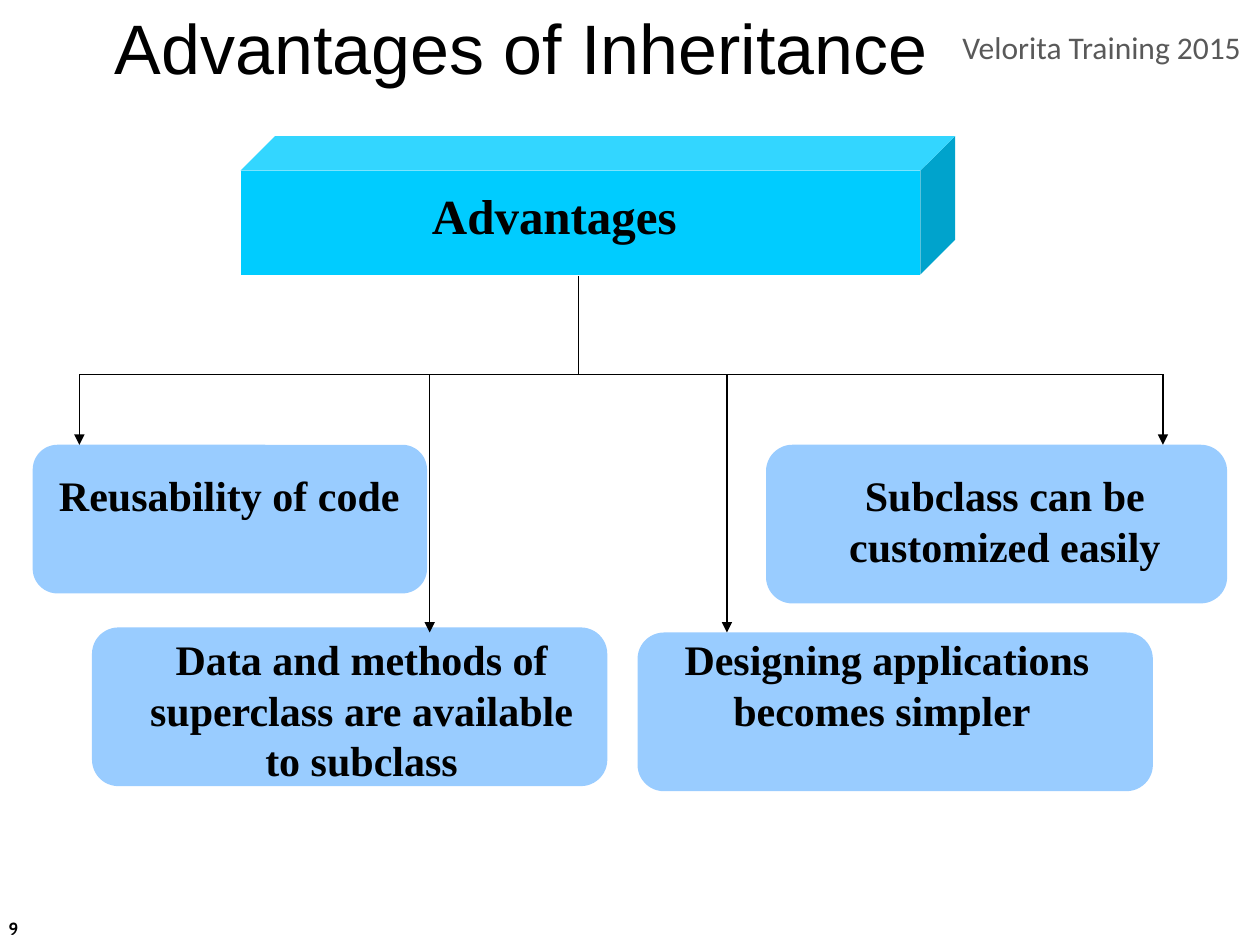
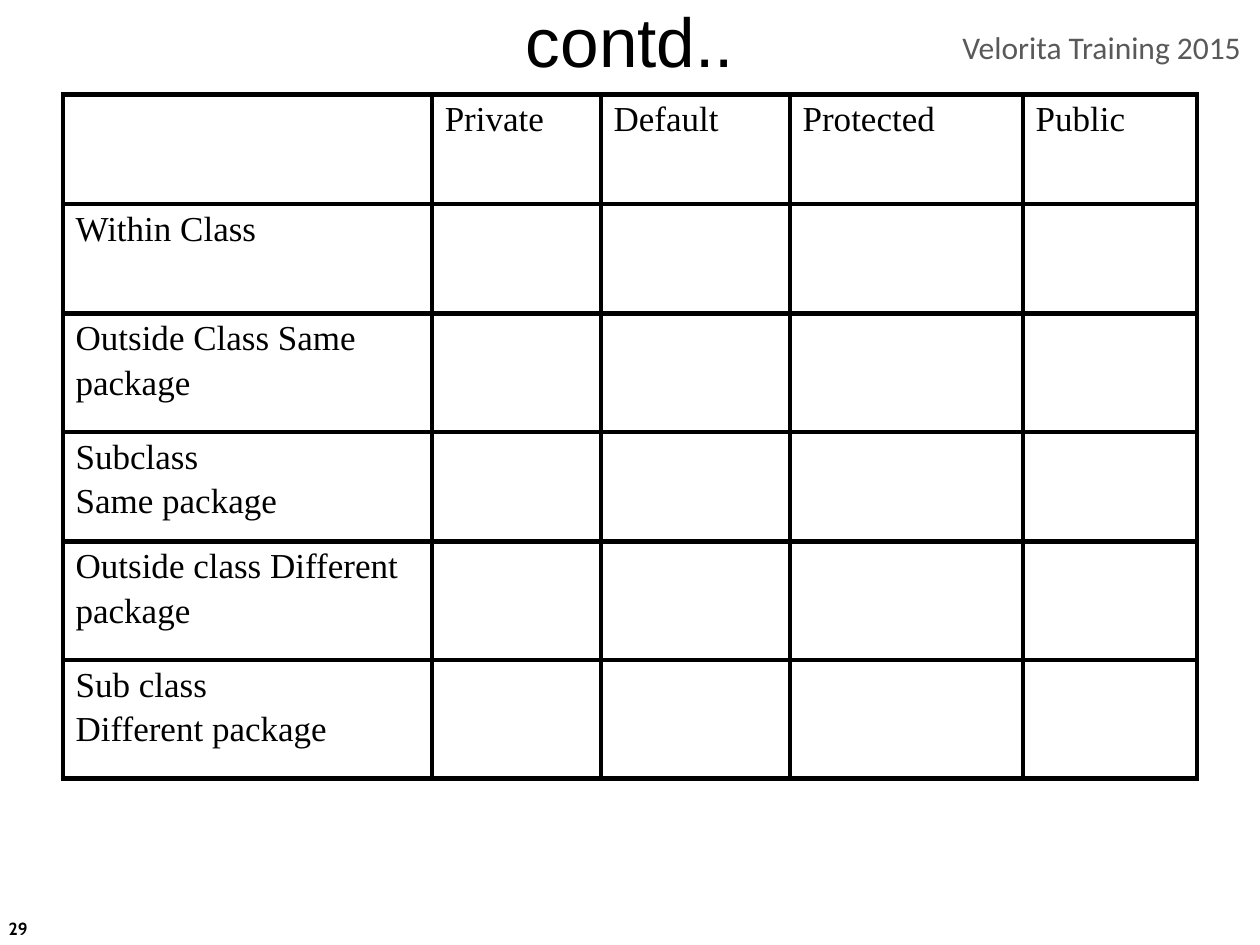
from dataclasses import dataclass
from lxml import etree
from pptx import Presentation
from pptx.dml.color import RGBColor
from pptx.enum.shapes import MSO_CONNECTOR, MSO_SHAPE
from pptx.enum.text import MSO_ANCHOR, MSO_AUTO_SIZE, PP_ALIGN
from pptx.oxml.ns import qn
from pptx.util import Inches, Pt

CUBE, ROUNDED = MSO_SHAPE.CUBE, MSO_SHAPE.ROUNDED_RECTANGLE
STRAIGHT = MSO_CONNECTOR.STRAIGHT
LEFT, CENTER = PP_ALIGN.LEFT, PP_ALIGN.CENTER
TOP, MIDDLE = MSO_ANCHOR.TOP, MSO_ANCHOR.MIDDLE
NO_AUTOSIZE = MSO_AUTO_SIZE.NONE


@dataclass(frozen=True)
class Theme:
    black: str = "000000"
    white: str = "FFFFFF"
    grey: str = "595959"
    banner: str = "00CCFF"
    card: str = "99CCFF"
    title_font: str = "Arial"
    body_font: str = "Times New Roman"
    header_font: str = "Calibri"
    number_font: str = "Cabin"
    title_size: float = 40
    banner_size: float = 28
    card_size: float = 24
    table_size: float = 20
    header_size: float = 18
    number_size: float = 10
    line_width: float = 0.75
    border_width: float = 3


THEME = Theme()
SLIDE_WIDTH, SLIDE_HEIGHT = 10, 7.5
HEADER = "Velorita Training 2015"
HEADER_BOX = (7.54, 0.17, 2.46, 0.4)
NUMBER_BOX = (-0.03, 7.17, 2.33, 0.4)

ADVANTAGES = {
    "title": "Advantages of Inheritance",
    "title_box": (0, 0.08, 8.27, 0.58),
    "title_size": THEME.title_size,
    "number": "9",
}
BANNER = ("Advantages ", (1.91, 1.08, 5.67, 1.1), (3.33, 1.42, 2.21, 0.57))
TRUNK_X, TRUNK_TOP, BRANCH_Y = 4.59, 2.19, 2.97
UPPER_ROW, LOWER_ROW = 3.53, 5.02
CARDS = [
    ("Reusability of code", (0.26, UPPER_ROW, 3.13, 1.18),
     (0.33, 3.68, 2.98, 0.51), (0.63, UPPER_ROW)),
    ("Data and methods of superclass are available to subclass",
     (0.73, 4.98, 4.09, 1.26), (1.04, 4.98, 3.66, 1.31), (3.41, LOWER_ROW)),
    ("Designing applications becomes simpler ",
     (5.06, LOWER_ROW, 4.09, 1.26), (5.21, 4.98, 3.66, 0.91), (5.77, LOWER_ROW)),
    ("Subclass can be customized easily", (6.08, UPPER_ROW, 3.66, 1.26),
     (6.4, 3.68, 3.15, 0.91), (9.23, UPPER_ROW)),
]

ACCESS = {
    "title": "contd..",
    "title_box": (0, 0.05, SLIDE_WIDTH, 0.53),
    "title_size": 39.6,
    "number": "29",
}
TABLE_ORIGIN = (0.5, 0.75)
COLUMNS = [("", 2.93), ("Private", 1.34), ("Default", 1.5),
           ("Protected", 1.85), ("Public", 1.38)]
HEADING_HEIGHT = 0.87
ROWS = [
    ("Within Class", 0.87),
    ("Outside Class Same package", 0.94),
    ("Subclass \nSame package", 0.87),
    ("Outside class Different package", 0.94),
    ("Sub class\nDifferent package", 0.94),
]


def inches(values):
    return [Inches(value) for value in values]


def style_text(frame, text, font, size, color=THEME.black, bold=False,
               align=LEFT, line_spacing=None):
    frame.text = text
    for paragraph in frame.paragraphs:
        paragraph.alignment = align
        paragraph.line_spacing = line_spacing
        paragraph.font.name = font
        paragraph.font.size = Pt(size)
        paragraph.font.bold = bold
        paragraph.font.color.rgb = RGBColor.from_string(color)


def add_text(shapes, box, text, font, size, anchor=TOP, wrap=True, **style):
    frame = shapes.add_textbox(*inches(box)).text_frame
    frame.word_wrap = wrap
    frame.vertical_anchor = anchor
    style_text(frame, text, font, size, **style)


def add_labelled_shape(slide, kind, fill, box, label_box, text, size, align):
    group = slide.shapes.add_group_shape()
    shape = group.shapes.add_shape(kind, *inches(box))
    shape.shadow.inherit = False
    shape.fill.solid()
    shape.fill.fore_color.rgb = RGBColor.from_string(fill)
    shape.line.fill.background()
    add_text(group.shapes, label_box, text, THEME.body_font, size,
             bold=True, align=align)


def add_line(slide, start, end, arrow=False):
    connector = slide.shapes.add_connector(STRAIGHT, *inches(start + end))
    connector.line.width = Pt(THEME.line_width)
    connector.line.color.rgb = RGBColor.from_string(THEME.black)
    if arrow:
        etree.SubElement(connector.line._get_or_add_ln(), qn("a:tailEnd"),
                         type="triangle")
    etree.SubElement(connector._element.spPr, qn("a:effectLst"))


def add_slide(presentation, content):
    slide = presentation.slides.add_slide(presentation.slide_layouts[5])
    title = slide.shapes.title
    title.left, title.top, title.width, title.height = inches(content["title_box"])
    frame = title.text_frame
    frame.auto_size = NO_AUTOSIZE
    frame.vertical_anchor = MIDDLE
    style_text(frame, content["title"], THEME.title_font,
               content["title_size"], align=CENTER)
    add_text(slide.shapes, NUMBER_BOX, content["number"], THEME.number_font,
             THEME.number_size, anchor=MIDDLE, bold=True)
    add_text(slide.shapes, HEADER_BOX, HEADER, THEME.header_font,
             THEME.header_size, wrap=False, color=THEME.grey)
    return slide


def add_borders(cell):
    properties = cell._tc.get_or_add_tcPr()
    for position, side in enumerate(("lnL", "lnR", "lnT", "lnB")):
        line = etree.Element(qn("a:" + side), w=str(Pt(THEME.border_width)))
        fill = etree.SubElement(line, qn("a:solidFill"))
        etree.SubElement(fill, qn("a:srgbClr"), val=THEME.black)
        properties.insert(position, line)


def add_access_table(slide):
    widths = [width for _, width in COLUMNS]
    heights = [HEADING_HEIGHT] + [height for _, height in ROWS]
    table = slide.shapes.add_table(
        len(heights), len(widths),
        *inches(TABLE_ORIGIN + (sum(widths), sum(heights)))).table
    table.first_row = table.horz_banding = False
    for column, width in zip(table.columns, widths):
        column.width = Inches(width)
    for row, height in zip(table.rows, heights):
        row.height = Inches(height)
    texts = {(0, index): name for index, (name, _) in enumerate(COLUMNS)}
    texts.update({(index, 0): name for index, (name, _) in enumerate(ROWS, 1)})
    for row_index, row in enumerate(table.rows):
        for column_index, cell in enumerate(row.cells):
            cell.fill.solid()
            cell.fill.fore_color.rgb = RGBColor.from_string(THEME.white)
            cell.margin_top = cell.margin_bottom = 0
            style_text(cell.text_frame, texts.get((row_index, column_index), ""),
                       THEME.body_font, THEME.table_size, line_spacing=1.15)
            add_borders(cell)


presentation = Presentation()
presentation.slide_width = Inches(SLIDE_WIDTH)
presentation.slide_height = Inches(SLIDE_HEIGHT)

slide = add_slide(presentation, ADVANTAGES)
banner_text, banner_box, banner_label = BANNER
add_labelled_shape(slide, CUBE, THEME.banner, banner_box, banner_label,
                   banner_text, THEME.banner_size, LEFT)
add_line(slide, (TRUNK_X, TRUNK_TOP), (TRUNK_X, BRANCH_Y))
arrow_tips = [tip for *_, tip in CARDS]
add_line(slide, (arrow_tips[0][0], BRANCH_Y), (arrow_tips[-1][0], BRANCH_Y))
for text, box, label_box, _ in CARDS:
    add_labelled_shape(slide, ROUNDED, THEME.card, box, label_box, text,
                       THEME.card_size, CENTER)
for tip in arrow_tips:
    add_line(slide, (tip[0], BRANCH_Y), tip, arrow=True)

add_access_table(add_slide(presentation, ACCESS))
presentation.save("out.pptx")
